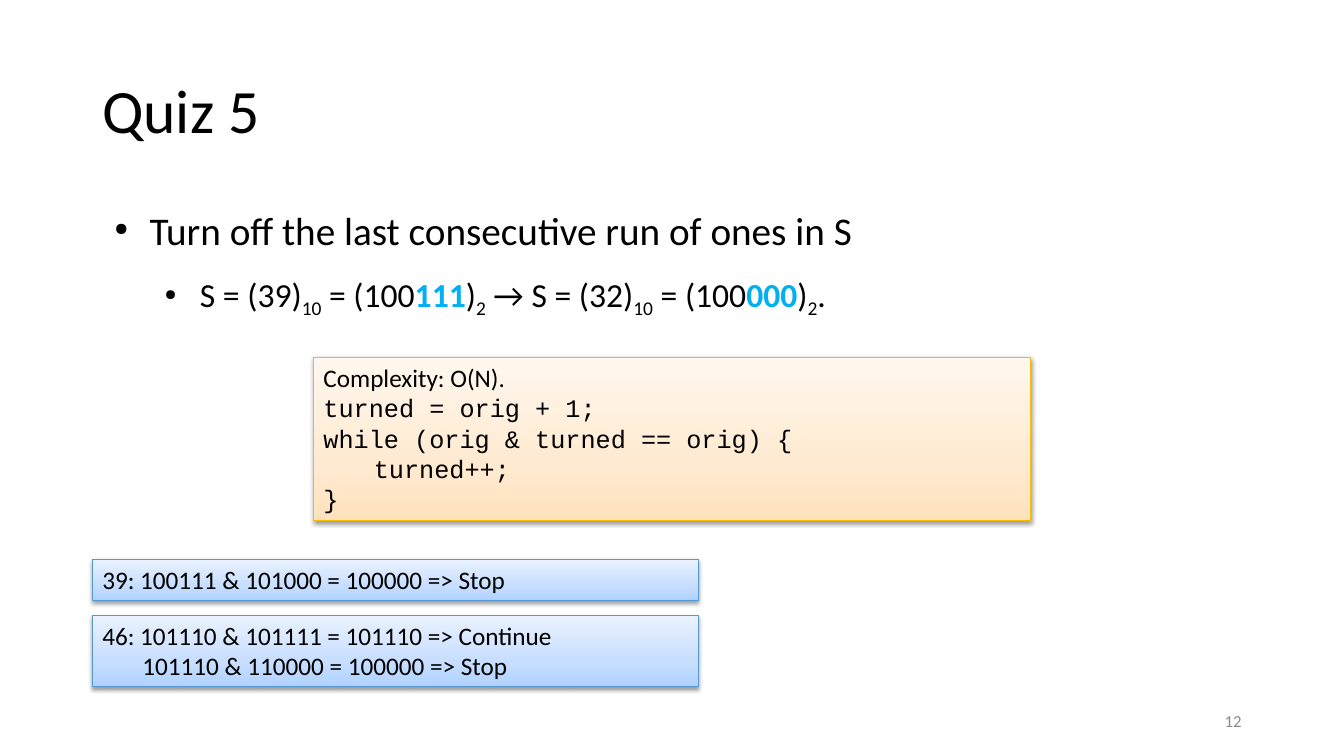
import pptx
import pptx.dml.color
import pptx.enum.shapes
import pptx.enum.text
import pptx.oxml
import pptx.oxml.ns
import pptx.util
from lxml import etree

Pt = pptx.util.Pt
RGB = pptx.dml.color.RGBColor
ALIGN = pptx.enum.text.PP_ALIGN
ANCHOR = pptx.enum.text.MSO_ANCHOR
qn = pptx.oxml.ns.qn

BLACK = RGB(0x00, 0x00, 0x00)
GREY = RGB(0x8B, 0x8B, 0x8B)
HIGHLIGHT = RGB(0x00, 0xB0, 0xF0)
ORANGE_LINE = RGB(0xF9, 0xBC, 0x00)
BLUE_LINE = RGB(0x56, 0x98, 0xD3)
ORANGE_STOPS = [(0, RGB(0xFF, 0xE2, 0xBD)), (35, RGB(0xFF, 0xEA, 0xD1)), (100, RGB(0xFF, 0xF7, 0xEE))]
BLUE_STOPS = [(0, RGB(0xB0, 0xD2, 0xFF)), (35, RGB(0xC7, 0xDE, 0xFF)), (100, RGB(0xEA, 0xF2, 0xFF))]

LEFT, WIDTH = 66, 828


def add_run(paragraph, text, size=18, font="Calibri", color=BLACK, bold=False, baseline=0):
    """Add text to a paragraph; baseline is a percentage, negative for subscript."""
    run = paragraph.add_run()
    run.text = text
    run.font.size = Pt(size)
    run.font.name = font
    run.font.color.rgb = color
    run.font.bold = bold
    if baseline:
        run._r.get_or_add_rPr().set("baseline", str(baseline * 1000))


def add_text_frame(slide, box, anchor=ANCHOR.TOP):
    frame = slide.shapes.add_textbox(*map(Pt, box)).text_frame
    frame.word_wrap = True
    frame.vertical_anchor = anchor
    return frame


def set_indent(paragraph, margin, first_line=0):
    properties = paragraph._p.get_or_add_pPr()
    properties.set("marL", str(Pt(margin)))
    properties.set("indent", str(Pt(first_line)))
    return properties


def add_bullet(paragraph, margin):
    properties = set_indent(paragraph, margin, -25.2)
    color = etree.SubElement(properties, qn("a:buClr"))
    etree.SubElement(color, qn("a:srgbClr"), val=str(BLACK))
    etree.SubElement(properties, qn("a:buSzPct"), val="45000")
    etree.SubElement(properties, qn("a:buChar"), char="●")


def add_panel(slide, box, stops, line_color):
    """Add a rectangle with a vertical gradient and a soft shadow; return its text frame."""
    panel = slide.shapes.add_shape(pptx.enum.shapes.MSO_SHAPE.RECTANGLE, *map(Pt, box))
    panel.fill.gradient()
    panel.fill.gradient_angle = 90
    panel.line.color.rgb = line_color
    panel.line.width = Pt(0.75)
    panel.shadow.inherit = False

    properties = panel._element.spPr
    stop_list = properties.find(".//" + qn("a:gsLst"))
    for stop in list(stop_list):
        stop_list.remove(stop)
    for position, color in stops:
        stop = etree.SubElement(stop_list, qn("a:gs"), pos=str(position * 1000))
        etree.SubElement(stop, qn("a:srgbClr"), val=str(color))

    shadow = etree.SubElement(
        properties.find(qn("a:effectLst")), qn("a:outerShdw"),
        blurRad=str(Pt(3.1)), dist=str(Pt(1.6)), dir="5400000", rotWithShape="0")
    shadow_color = etree.SubElement(shadow, qn("a:srgbClr"), val=str(BLACK))
    etree.SubElement(shadow_color, qn("a:alpha"), val="38000")

    frame = panel.text_frame
    frame.word_wrap = True
    frame.vertical_anchor = ANCHOR.TOP
    frame.auto_size = pptx.enum.text.MSO_AUTO_SIZE.SHAPE_TO_FIT_TEXT
    return frame


def add_lines(frame, lines):
    """Fill a frame with left-aligned paragraphs given as (text, format) pairs."""
    for index, (text, style) in enumerate(lines):
        paragraph = frame.add_paragraph() if index else frame.paragraphs[0]
        paragraph.alignment = ALIGN.LEFT
        add_run(paragraph, text, **style)


def add_title(slide, box):
    heading = add_text_frame(slide, box, ANCHOR.MIDDLE).paragraphs[0]
    heading.line_spacing = 0.9
    add_run(heading, "Quiz 5", size=44)


def add_question(slide, box):
    frame = add_text_frame(slide, box)
    task = frame.paragraphs[0]
    add_bullet(task, 33.8)
    add_run(task, "Turn off the last consecutive run of ones in S", size=28)

    example = frame.add_paragraph()
    example.level = 1
    example.space_before = Pt(14.2)
    add_bullet(example, 69.8)
    subscript = {"baseline": -25}
    bits = {"color": HIGHLIGHT, "bold": True}
    for lead, decimal, ones in [("S", 39, "111"), (" → S", 32, "000")]:
        for text, style in [(f"{lead} = ({decimal})", {}), ("10", subscript), (" = (100", {}),
                            (ones, bits), (")", {}), ("2", subscript)]:
            add_run(example, text, size=24, **style)
    add_run(example, ".", size=24)


def add_code(slide, box):
    code = ["turned = orig + 1;", "while (orig & turned == orig) {", "\tturned++;", "}"]
    lines = [("Complexity: O(N).", {})] + [(line, {"font": "Courier New"}) for line in code]
    add_lines(add_panel(slide, box, ORANGE_STOPS, ORANGE_LINE), lines)


def add_traces(slide, box):
    left, top, width, _ = box
    add_lines(add_panel(slide, (left, top, width, 29.1), BLUE_STOPS, BLUE_LINE),
              [("39: 100111 & 101000 = 100000 => Stop", {})])
    long_trace = add_panel(slide, (left, top + 40, width, 51), BLUE_STOPS, BLUE_LINE)
    add_lines(long_trace, [("46: 101110 & 101111 = 101110 => Continue", {}),
                           ("101110 & 110000 = 100000 => Stop", {})])
    set_indent(long_trace.paragraphs[1], 28.6)


def add_page_number(slide, box):
    number = add_text_frame(slide, box, ANCHOR.MIDDLE).paragraphs[0]
    number.alignment = ALIGN.RIGHT
    add_run(number, "12", size=12, color=GREY)


def main():
    deck = pptx.Presentation()
    deck.slide_width, deck.slide_height = Pt(960), Pt(540)
    slide = deck.slides.add_slide(deck.slide_layouts[6])
    add_title(slide, (LEFT, 28.8, WIDTH, 104.4))
    add_question(slide, (LEFT, 144, WIDTH, 342.7))
    add_page_number(slide, (LEFT + WIDTH - 216, 500.4, 216, 28.8))
    add_code(slide, (224, 255.4, 512, 116.6))
    add_traces(slide, (LEFT, 399.6, 432.7, 91))
    deck.save("out.pptx")


if __name__ == "__main__":
    main()
